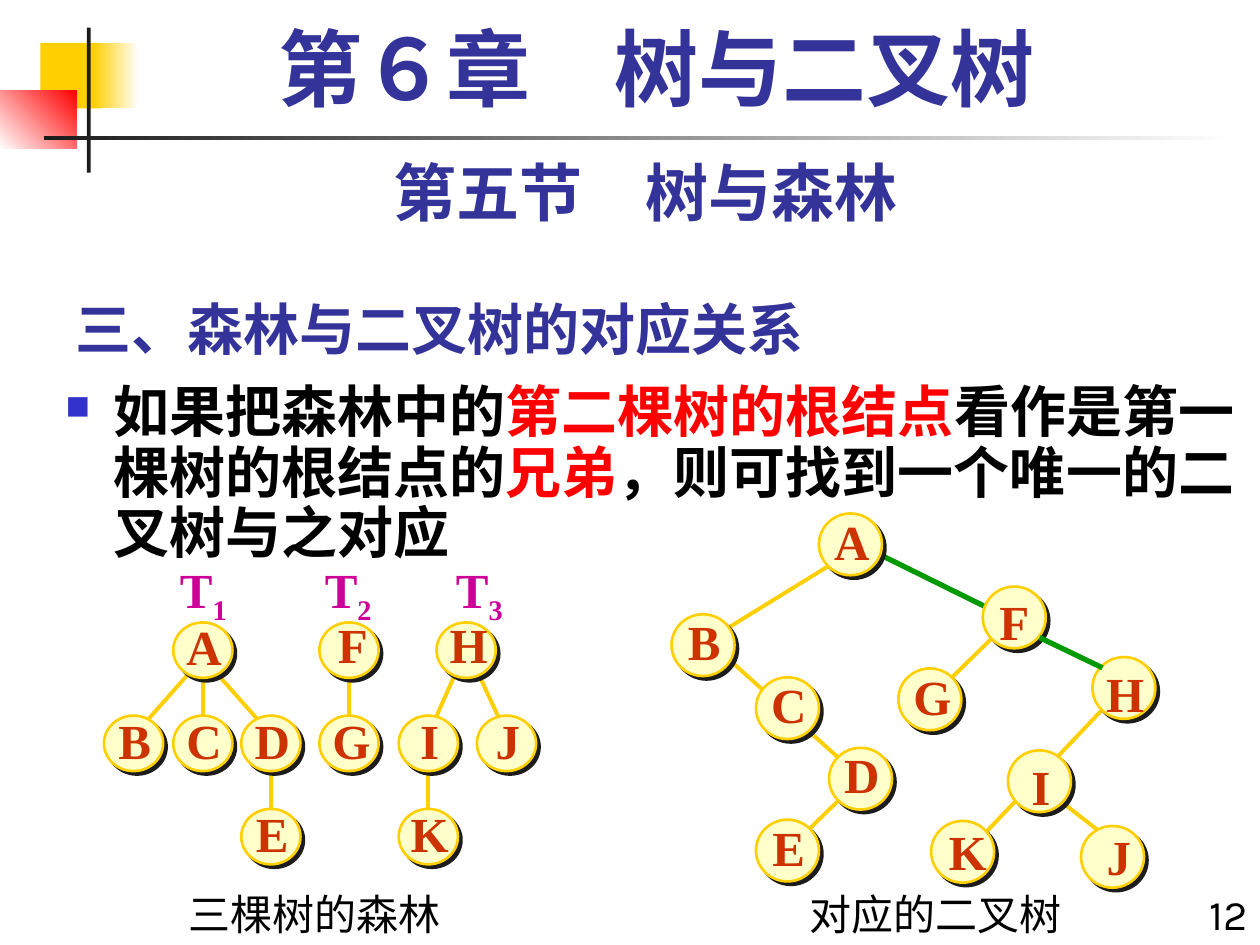
from lxml.etree import SubElement
from pptx import Presentation
from pptx.dml.color import RGBColor
from pptx.enum.shapes import MSO_CONNECTOR, MSO_SHAPE
from pptx.enum.text import MSO_ANCHOR, PP_ALIGN
from pptx.oxml.ns import qn
from pptx.util import Inches, Pt

THEME = {
    "ink": "000000", "navy": "333399", "red": "FF0000", "dark": "1C1C1C",
    "gold": "FFCF01", "white": "FFFFFF", "cream": "FFFFCC", "green": "009900",
    "brick": "CC3300", "pink": "CC0099", "bullet": "3333CC",
    "sans": "Noto Sans CJK SC", "plain": "Karla", "serif": "Times New Roman",
    "chapter": 48, "section": 36, "body": 32, "node": 28, "small": 24,
    "edge": 2.25, "bold edge": 3, "ring": 1.5,
}

# left, top, width, height, colours (two make a gradient), angle
DECOR = [
    (0.32, 0.34, 0.48, 0.52, ["gold"], 0),
    (0.74, 0.34, 0.36, 0.52, ["gold", "white"], 0),
    (0, 0.72, 0.61, 0.46, ["white", "red"], 45),
    (0.69, 0.22, 0.03, 1.15, ["dark"], 0),
    (0.35, 1.08, 9.45, 0.03, ["dark", "white"], 0),
]

# box, alignment, anchor, font, size, bold, runs of (text, colour)
HEADS = [
    ((0.5, 2.17, 6.25, 0.75), "LEFT", "BOTTOM", "sans", "body", True,
     [("三、森林与二叉树的对应关系", "navy")]),
    ((9.33, 7, 0.67, 0.5), "RIGHT", "TOP", "plain", "small", False, [("12", "ink")]),
    ((0.5, 1.17, 9.25, 0.7), "CENTER", "TOP", "plain", "section", True,
     [("第五节　树与森林", "navy")]),
    ((0.67, 0.17, 9.08, 0.83), "CENTER", "TOP", "serif", "chapter", True,
     [("第６章　树与二叉树", "navy")]),
    ((1.25, 7, 2.5, 0.5), "CENTER", "TOP", "plain", "small", False,
     [("三棵树的森林", "ink")]),
    ((6.33, 7, 2.33, 0.5), "LEFT", "TOP", "plain", "small", False,
     [("对应的二叉树", "ink")]),
]
BODY = [
    ("如果把森林中的", "ink"), ("第二棵树的根结点", "red"),
    ("看作是第一棵树的根结点的", "ink"), ("兄弟", "red"),
    ("，则可找到一个唯一的二叉树与之对应", "ink"),
]
TREES = [("T", "pink"), ("1", "pink"), ("\tT", "pink"), ("2", "pink"),
         ("\tT", "pink"), ("3", "pink")]
STOPS = [1.15, 2.19]

# Nodes: letter, centre x, centre y, shift of the letter from the centre
FOREST = {
    "size": (0.47, 0.44),
    "edges": [
        (3.78, 5.31, 4.02, 5.83), (3.63, 5.31, 3.4, 5.83),
        (1.69, 5.31, 2.08, 5.75), (1.53, 5.31, 1.14, 5.75),
        (3.4, 6.05, 3.4, 6.49), (2.15, 6.05, 2.15, 6.49),
        (2.77, 5.31, 2.77, 5.75), (1.61, 5.31, 1.61, 5.75),
    ],
    "nodes": [
        ("A", 1.61, 5.16, 0.01, -0.03), ("F", 2.77, 5.16, 0.03, -0.05),
        ("H", 3.7, 5.16, 0.01, -0.05), ("B", 1.06, 5.9, 0.01, -0.03),
        ("C", 1.61, 5.9, 0.01, -0.03), ("D", 2.15, 5.9, 0.01, -0.03),
        ("G", 2.77, 5.9, 0.01, -0.03), ("I", 3.4, 5.9, 0.01, -0.03),
        ("J", 4.02, 5.9, 0.01, -0.03), ("E", 2.15, 6.64, 0.01, -0.03),
        ("K", 3.4, 6.64, 0, -0.03),
    ],
}
BINARY = {
    "size": (0.5, 0.49),
    "edges": [
        (6.75, 6.26, 6.33, 6.67), (5.67, 5.13, 6.75, 6.1),
        (6.58, 4.49, 5.67, 5.05), (8.42, 6.36, 8.83, 6.68),
        (8.75, 5.63, 7.83, 6.6), (7.96, 4.98, 7.46, 5.47),
    ],
    "nodes": [
        ("A", 6.75, 4.32, 0.01, -0.03), ("B", 5.58, 5.12, 0.01, -0.03),
        ("C", 6.25, 5.62, 0.01, -0.03), ("D", 6.83, 6.18, 0.01, -0.04),
        ("E", 6.25, 6.75, 0.01, -0.03), ("F", 8.05, 4.9, 0, 0.03),
        ("G", 7.38, 5.55, 0.01, -0.03), ("H", 8.92, 5.46, 0, 0.04),
        ("I", 8.25, 6.2, 0.01, 0.04), ("J", 8.83, 6.8, 0.05, -0.01),
        ("K", 7.64, 6.76, 0.03, -0.01),
    ],
}
LINKS = [(7, 4.41, 7.83, 4.82), (8.25, 5.06, 8.75, 5.3)]
WIDTHS = {"B": 0.46, "E": 0.46, "F": 0.44, "I": 0.35, "J": 0.4}


def tint(name):
    return RGBColor.from_string(THEME[name])


def shape(slide, kind, box, fills, angle=0):
    item = slide.shapes.add_shape(kind, *map(Inches, box))
    item.shadow.inherit = False
    item.line.fill.background()
    if len(fills) == 1:
        item.fill.solid()
        item.fill.fore_color.rgb = tint(fills[0])
    else:
        item.fill.gradient()
        item.fill.gradient_angle = angle
        for stop, name in zip(item.fill.gradient_stops, fills):
            stop.color.rgb = tint(name)
    return item


def write(slide, box, align, anchor, face, size, bold, runs, wrap=True):
    """Add a one-paragraph text box and return the paragraph."""
    frame = slide.shapes.add_textbox(*map(Inches, box)).text_frame
    frame.word_wrap = wrap
    frame.vertical_anchor = MSO_ANCHOR[anchor]
    para = frame.paragraphs[0]
    para.alignment = PP_ALIGN[align]
    form = {"name": THEME[face], "size": Pt(THEME[size]), "bold": bold}
    for text, name in runs:
        run = para.add_run()
        run.text = text
        for key, value in form.items():
            setattr(run.font, key, value)
        run.font.color.rgb = tint(name)
        SubElement(run.font._element, qn("a:ea"), typeface=THEME["sans"])
    return para


def edge(slide, ends, name="gold", width="edge"):
    line = slide.shapes.add_connector(MSO_CONNECTOR.STRAIGHT, *map(Inches, ends))
    line.line.color.rgb = tint(name)
    line.line.width = Pt(THEME[width])
    SubElement(line._element.spPr, qn("a:effectLst"))


def node(slide, size, letter, x, y, dx, dy):
    """Draw a ringed oval with a hard shadow, then its letter."""
    wide, high = size
    oval = shape(slide, MSO_SHAPE.OVAL, (x - wide / 2, y - high / 2, wide, high), ["cream"])
    oval.line.color.rgb = tint("gold")
    oval.line.width = Pt(THEME["ring"])
    effect = oval._element.spPr.find(qn("a:effectLst"))
    shade = SubElement(effect, qn("a:outerShdw"), blurRad="0", dist=str(Pt(2.8)),
                       dir="2700000", algn="ctr", rotWithShape="0")
    SubElement(shade, qn("a:srgbClr"), val=THEME["dark"])
    wide, high = WIDTHS.get(letter, 0.48), 0.57
    write(slide, (x + dx - wide / 2, y + dy - high / 2, wide, high), "CENTER",
          "MIDDLE", "serif", "node", True, [(letter, "brick")], wrap=False)


def graph(slide, tree):
    for ends in tree["edges"]:
        edge(slide, ends)
    for item in tree["nodes"]:
        node(slide, tree["size"], *item)


def bullet(para):
    props = para._p.get_or_add_pPr()
    props.set("marL", str(Inches(0.38)))
    props.set("indent", str(Inches(-0.38)))
    SubElement(SubElement(props, qn("a:buClr")), qn("a:srgbClr"), val=THEME["bullet"])
    SubElement(props, qn("a:buSzPct"), val="60000")
    SubElement(props, qn("a:buChar"), char="■")


def main():
    deck = Presentation()
    deck.slide_width, deck.slide_height = Inches(10), Inches(7.5)
    slide = deck.slides.add_slide(deck.slide_layouts[6])

    for *box, fills, angle in DECOR:
        shape(slide, MSO_SHAPE.RECTANGLE, box, fills, angle)
    for head in HEADS:
        para = write(slide, *head)
        if head[4] == "chapter":
            para.line_spacing = 0.9
    para = write(slide, (0.42, 3, 9.58, 4.5), "LEFT", "TOP", "sans", "body", True, BODY)
    para.line_spacing = 0.9
    bullet(para)

    para = write(slide, (1.33, 4.42, 2.83, 0.57), "LEFT", "MIDDLE", "serif", "node",
                 True, TREES)
    tabs = SubElement(para._p.get_or_add_pPr(), qn("a:tabLst"))
    for stop in STOPS:
        SubElement(tabs, qn("a:tab"), pos=str(Inches(stop)), algn="l")
    for run in para.runs[1::2]:
        run.font._element.set("baseline", "-25000")

    graph(slide, FOREST)
    edge(slide, LINKS[0], "green", "bold edge")
    graph(slide, BINARY)
    edge(slide, LINKS[1], "green", "bold edge")
    deck.save("out.pptx")


if __name__ == "__main__":
    main()
